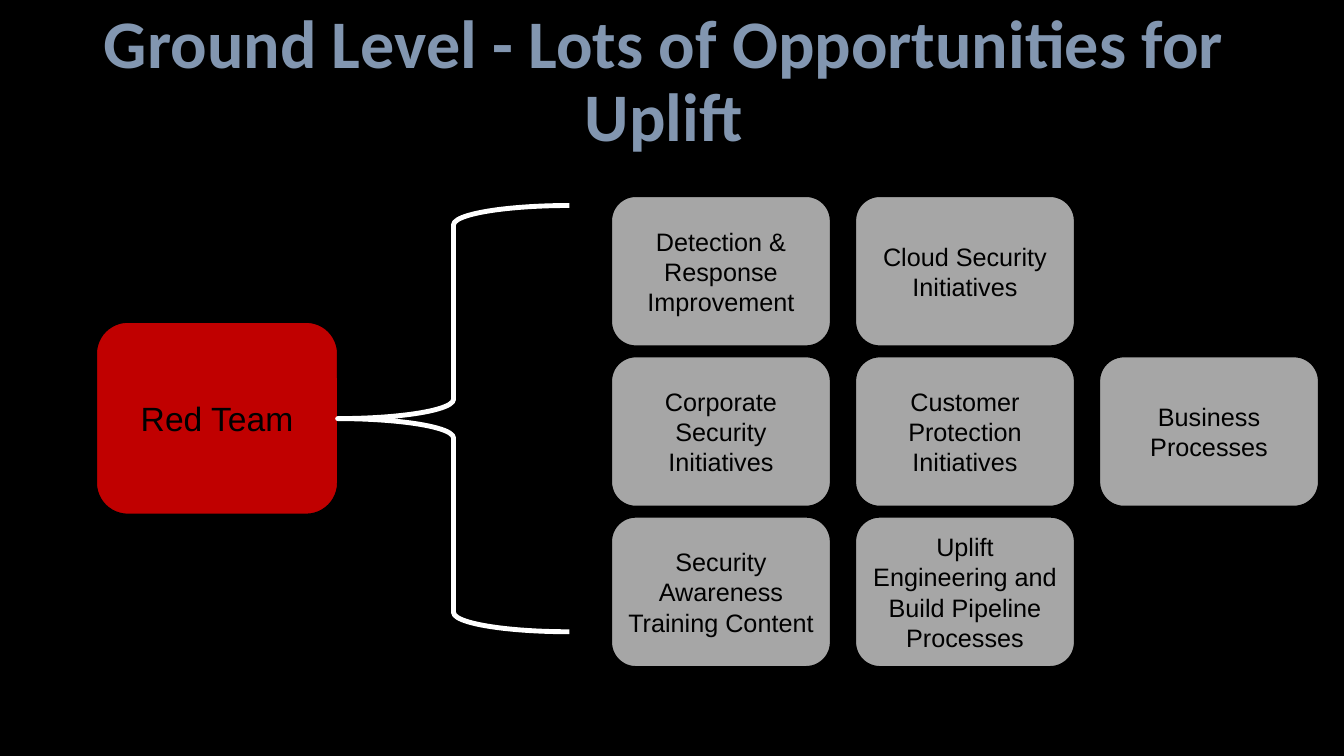
from dataclasses import dataclass

from pptx import Presentation
from pptx.dml.color import RGBColor
from pptx.enum.shapes import MSO_SHAPE
from pptx.enum.text import MSO_ANCHOR, MSO_AUTO_SIZE, PP_ALIGN
from pptx.util import Cm, Pt

ROUND, BRACE = MSO_SHAPE.ROUNDED_RECTANGLE, MSO_SHAPE.LEFT_BRACE
MIDDLE, CENTER, NO_FIT = MSO_ANCHOR.MIDDLE, PP_ALIGN.CENTER, MSO_AUTO_SIZE.NONE


@dataclass(frozen=True)
class Theme:
    black: str = "000000"
    white: str = "FFFFFF"
    red: str = "C00000"
    gray: str = "A6A6A6"
    blue: str = "8296B0"
    head_font: str = "Calibri"
    body_font: str = "Arial"
    head_size: float = 48.6
    team_size: float = 24
    area_size: float = 18
    edge: float = 2
    brace: float = 3.5


@dataclass(frozen=True)
class Box:
    text: str
    left: float
    top: float
    width: float
    height: float
    fill: str
    size: float


THEME = Theme()
TEAM = Box("Red Team", 2.41, 8.1, 6.12, 4.88, THEME.red, THEME.team_size)

# Grid of uplift areas, row by row
AREAS = (
    ("Detection & Response Improvement", "Cloud Security Initiatives"),
    ("Corporate Security Initiatives", "Customer Protection Initiatives",
     "Business Processes"),
    ("Security Awareness Training Content",
     "Uplift Engineering and Build Pipeline Processes"),
)
GRID_LEFT, GRID_TOP = 15.39, 4.93
STEP_X, STEP_Y = 6.15, 4.04
AREA_W, AREA_H = 5.56, 3.81


def color(code: str) -> RGBColor:
    return RGBColor.from_string(code)


def write(shape, text: str, font: str, size: float, ink: str,
          bold: bool = False) -> None:
    """Set centred text in one format."""
    frame = shape.text_frame
    frame.text = text
    frame.word_wrap = True
    frame.auto_size = NO_FIT
    frame.vertical_anchor = MIDDLE
    line = frame.paragraphs[0]
    line.alignment = CENTER
    style = {"name": font, "size": Pt(size), "bold": bold}
    for key, value in style.items():
        setattr(line.runs[0].font, key, value)
    line.runs[0].font.color.rgb = color(ink)


def add_title(slide, text: str) -> None:
    title = slide.shapes.title
    place = {"left": Cm(0.48), "top": Cm(0.25),
             "width": Cm(32.49), "height": Cm(3.68)}
    for key, value in place.items():
        setattr(title, key, value)
    title.fill.solid()
    title.fill.fore_color.rgb = color(THEME.black)
    write(title, text, THEME.head_font, THEME.head_size, THEME.blue, True)
    title.text_frame.paragraphs[0].line_spacing = 0.9


def add_box(slide, box: Box) -> None:
    shape = slide.shapes.add_shape(
        ROUND, Cm(box.left), Cm(box.top), Cm(box.width), Cm(box.height))
    shape.shadow.inherit = False
    shape.fill.solid()
    shape.fill.fore_color.rgb = color(box.fill)
    shape.line.color.rgb = color(THEME.black)
    shape.line.width = Pt(THEME.edge)
    write(shape, box.text, THEME.body_font, box.size, THEME.black)


def add_brace(slide) -> None:
    brace = slide.shapes.add_shape(
        BRACE, Cm(8.51), Cm(5.18), Cm(5.84), Cm(10.74))
    brace.shadow.inherit = False
    brace.fill.background()
    brace.line.color.rgb = color(THEME.white)
    brace.line.width = Pt(THEME.brace)


def main() -> None:
    deck = Presentation()
    deck.slide_width, deck.slide_height = Cm(33.87), Cm(19.05)
    slide = deck.slides.add_slide(deck.slide_layouts.get_by_name("Title Only"))
    slide.background.fill.solid()
    slide.background.fill.fore_color.rgb = color(THEME.black)

    add_title(slide, "Ground Level - Lots of Opportunities for Uplift")
    add_box(slide, TEAM)
    add_brace(slide)
    for row, names in enumerate(AREAS):
        for col, name in enumerate(names):
            add_box(slide, Box(
                name, GRID_LEFT + col * STEP_X, GRID_TOP + row * STEP_Y,
                AREA_W, AREA_H, THEME.gray, THEME.area_size))
    deck.save("out.pptx")


if __name__ == "__main__":
    main()
